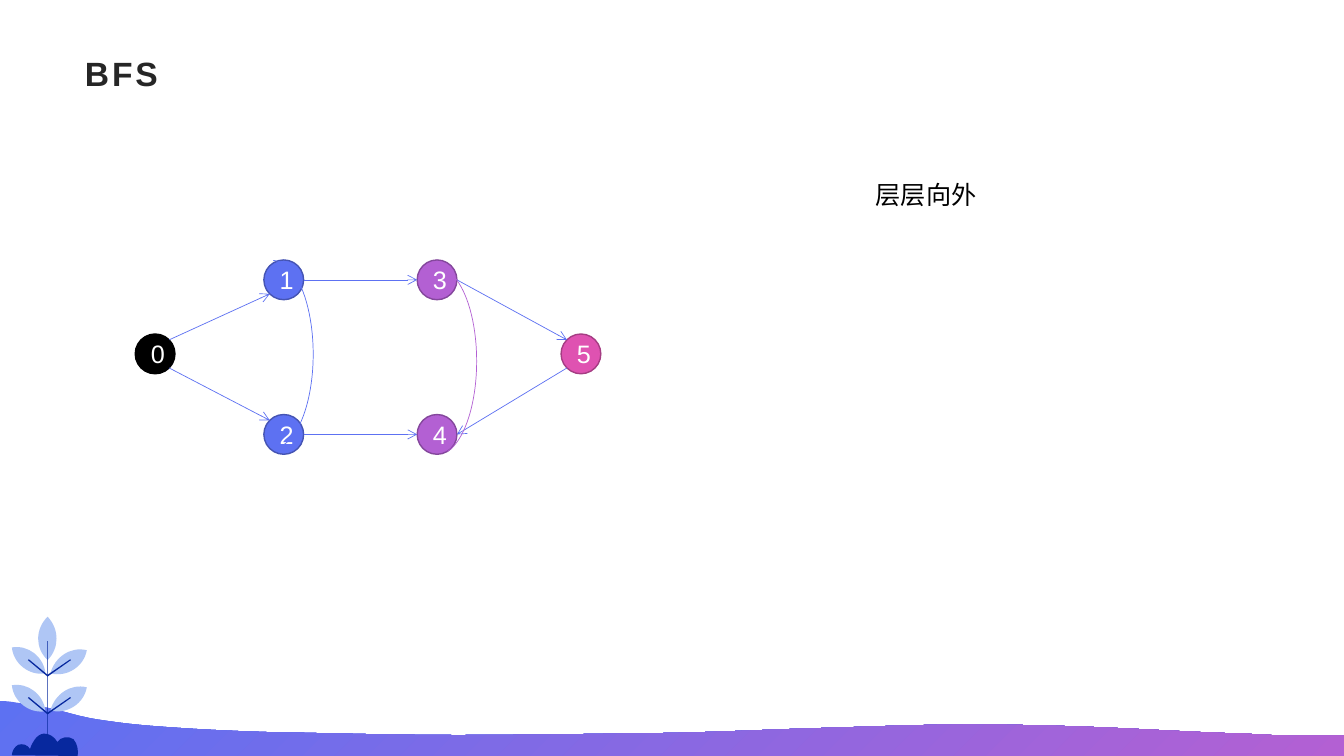
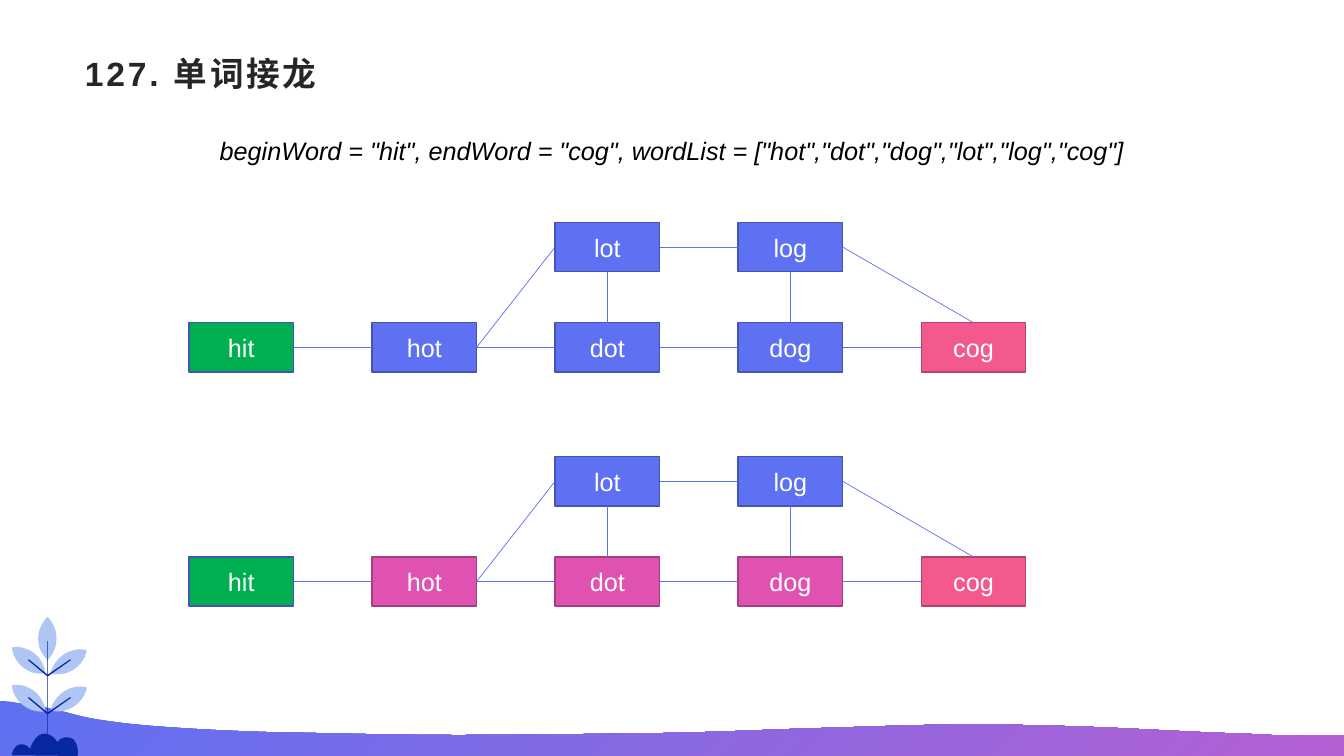
from math import sqrt

from lxml.etree import SubElement
from pptx import Presentation
from pptx.dml.color import RGBColor
from pptx.enum.shapes import MSO_CONNECTOR as Conn, MSO_SHAPE as Kind
from pptx.enum.text import MSO_ANCHOR as Anchor, MSO_AUTO_SIZE as Fit
from pptx.enum.text import PP_ALIGN as Align
from pptx.oxml.ns import qn
from pptx.util import Pt

FONT = "Arial"
HUES = {
    "blue": "5D71F2", "navy": "4554B3", "violet": "B360D3", "plum": "84479C",
    "pink": "DF52B1", "wine": "A53D83", "rose": "F3598E", "brick": "B44269",
    "green": "00B050", "black": "000000", "white": "FFFFFF", "ink": "262626",
    "leaf": "AFC6F5", "stem": "07289E",
}
# Outline colour that goes with each fill
RIMS = {"blue": "navy", "violet": "plum", "pink": "wine", "rose": "brick",
        "green": "navy", "black": "black"}

# Slide 1: graph nodes (centre x, centre y, fill), arrows and arcs
BFS_TITLE = "BFS"
BFS_NOTE = "层层向外"
SIZE = 28.4
NODES = [
    (110.8, 252.8, "black"), (202.7, 199.9, "blue"), (202.7, 310.3, "blue"),
    (312.2, 199.9, "violet"), (312.2, 310.3, "violet"), (415, 252.8, "pink"),
]
DIAG = 1 / sqrt(2)
SIDES = {"left": (-1, 0), "right": (1, 0), "nw": (-DIAG, -DIAG),
         "ne": (DIAG, -DIAG), "sw": (-DIAG, DIAG), "se": (DIAG, DIAG)}
ARROWS = [
    (0, "ne", 1, "sw"), (1, "right", 3, "left"), (0, "se", 2, "nw"),
    (3, "right", 5, "nw"), (2, "right", 4, "left"), (5, "sw", 4, "right"),
]
ARCS = [(166.7, 186, "blue"), (283.5, 191, "violet")]

# Slide 2: word boxes (column, row), links (word, side, word, side)
WORD_TITLE = "127. 单词接龙"
WORD_NOTE = ('beginWord = "hit", endWord = "cog", '
             'wordList = ["hot","dot","dog","lot","log","cog"]')
WORDS = {"hit": (0, 1), "hot": (1, 1), "lot": (2, 0), "dot": (2, 1),
         "log": (3, 0), "dog": (3, 1), "cog": (4, 1)}
TOP, LEFT, DOWN, RIGHT = range(4)
LINKS = [
    ("hit", RIGHT, "hot", LEFT), ("hot", RIGHT, "lot", LEFT),
    ("hot", RIGHT, "dot", LEFT), ("dot", RIGHT, "dog", LEFT),
    ("dog", RIGHT, "cog", LEFT), ("lot", DOWN, "dot", TOP),
    ("lot", RIGHT, "log", LEFT), ("log", RIGHT, "cog", TOP),
    ("log", DOWN, "dog", TOP),
]
ENDS = {"hit": "green", "cog": "rose"}
PATH = dict.fromkeys(("hot", "dot", "dog"), "pink")
GRIDS = [(158.9, ENDS), (326.2, ENDS | PATH)]

# Shared scenery: each curve is a start, then triples of Bezier points
WAVE = [
    (6, 501), (17, 502.5), (24.5, 504), (34, 505.5),
    (48, 508.5), (57, 512), (70.5, 514), (84, 516), (94, 517.5), (115, 519),
    (135, 520.5), (160, 522), (195, 523), (230, 523.5), (279, 525), (327, 525),
    (374, 525), (436, 524), (480, 523.5), (523, 522.5), (551.5, 521), (587, 520),
    (622, 519), (657, 517.5), (692, 517.5), (727, 517.5), (765, 518.5), (798, 520),
    (831, 521.5), (865, 523.5), (889, 524), (913, 525.5), (922, 525.5), (943, 525.5),
]
SHORE = [(960, 525.5), (960, 540), (-0.5, 540), (-0.5, 500.5)]
EAST = [(62, 491), (50.5, 488), (39, 496), (36, 507.5),
        (48, 510.5), (60, 502.5), (62, 491)]
WEST = [(32.5, 508), (31, 496), (20, 487.5), (8.5, 489.5),
        (9.5, 501), (21, 510), (32.5, 508)]
CROWN = [(34, 440.5), (25, 449.5), (25, 463), (34, 471.5),
         (42.5, 463), (42.5, 449.5), (34, 440.5)]
LEAVES = [(EAST, 0), (WEST, 0), (EAST, -26.5), (CROWN, 0), (WEST, -27)]
TWIG = [(34, 483.3), (20, 471.6), (20.6, 470.9), (34, 482),
        (50.2, 470.9), (50.6, 471.6)]
BUSH = [
    (8.5, 539.5), (8.5, 536.5), (10.5, 533.5), (13, 532),
    (16.5, 531), (19.5, 532), (21.5, 535), (22.5, 532), (23.5, 530), (25, 528),
    (26.5, 526), (29, 524), (31.5, 524), (35.5, 524), (39, 526.5), (41, 530),
    (43, 526.5), (49, 525.5), (52.5, 528), (55.5, 531.5), (56, 536), (55.5, 540),
]


def hue(name):
    return RGBColor.from_string(HUES[name])


def paint(shape, fill, rim=None):
    shape.shadow.inherit = False
    shape.fill.solid()
    shape.fill.fore_color.rgb = hue(fill)
    if rim:
        shape.line.color.rgb = hue(rim)
        shape.line.width = Pt(1)
    else:
        shape.line.fill.background()


def write(shape, text, size, color):
    para = shape.text_frame.paragraphs[0]
    para.text = text
    font = para.font
    font.name, font.size, font.color.rgb = FONT, Pt(size), hue(color)
    return para


def label(slide, text, box, size=18, color="black", wrap=True):
    shape = slide.shapes.add_textbox(*map(Pt, box))
    frame = shape.text_frame
    frame.word_wrap = wrap
    frame.auto_size = Fit.NONE if wrap else Fit.SHAPE_TO_FIT_TEXT
    return shape, write(shape, text, size, color)


def block(slide, kind, box, text, fill):
    shape = slide.shapes.add_shape(kind, *map(Pt, box))
    paint(shape, fill, RIMS[fill])
    shape.text_frame.vertical_anchor = Anchor.MIDDLE
    write(shape, text, 18, "white").alignment = Align.CENTER
    return shape


def join(slide, start=(0, 0), end=(0, 0), arrow=False):
    line = slide.shapes.add_connector(Conn.STRAIGHT, *map(Pt, (*start, *end)))
    line.line.color.rgb = hue("blue")
    line.line.width = Pt(0.5)
    props = line._element.spPr
    if arrow:
        SubElement(props.find(qn("a:ln")), qn("a:tailEnd"), type="arrow")
    SubElement(props, qn("a:effectLst"))
    return line


def trace(slide, points, fill, drop=0):
    spots = [(Pt(x), Pt(y + drop)) for x, y in points]
    pen = slide.shapes.build_freeform(*spots[0])
    pen.add_line_segments(spots[1:], close=True)
    shape = pen.convert_to_shape()
    paint(shape, fill)
    return shape


def bend(slide, curve, fill, drop=0, rest=()):
    """Outline of Bezier curves, then straight lines through the rest."""
    shape = trace(slide, [*curve, *rest], fill, drop)
    lines = list(shape._element.iter(qn("a:lnTo")))[:len(curve) - 1]
    for first, *others in zip(lines[::3], lines[1::3], lines[2::3]):
        first.tag = qn("a:cubicBezTo")
        for line in others:
            first.append(line[0])
            line.getparent().remove(line)
    return shape


def scene(slide):
    fill = bend(slide, WAVE, "blue", rest=SHORE).fill
    fill.gradient()
    fill.gradient_angle = 315
    for stop, name in zip(fill.gradient_stops, ("blue", "violet")):
        stop.color.rgb = hue(name)
    for leaf, drop in LEAVES:
        bend(slide, leaf, "leaf", drop)
    stalk = slide.shapes.add_shape(Kind.RECTANGLE, *map(Pt, (33.8, 458, 0.5, 76)))
    paint(stalk, "stem")
    for drop in (0, 27):
        trace(slide, TWIG, "stem", drop)
    bend(slide, BUSH, "stem")


def start(deck, title):
    slide = deck.slides.add_slide(deck.slide_layouts[6])
    scene(slide)
    shape, para = label(slide, title, (52.7, 35.2, 855, 34.5), 24, "ink")
    frame = shape.text_frame
    frame.margin_left, frame.margin_right = Pt(8), Pt(6)
    frame.margin_top = frame.margin_bottom = Pt(3)
    frame.vertical_anchor = Anchor.MIDDLE
    para.font.bold = True
    para.runs[0]._r.get_or_add_rPr().set("spc", "200")
    return slide


def spot(node, side):
    x, y, _ = NODES[node]
    dx, dy = SIDES[side]
    return x + dx * SIZE / 2, y + dy * SIZE / 2


def draw_bfs(deck):
    slide = start(deck, BFS_TITLE)
    for i, (x, y, fill) in enumerate(NODES):
        box = (x - SIZE / 2, y - SIZE / 2, SIZE, SIZE)
        block(slide, Kind.OVAL, box, str(i), fill)
    for a, out, b, into in ARROWS:
        join(slide, spot(a, out), spot(b, into), arrow=True)
    label(slide, BFS_NOTE, (618.5, 124.5, 124.5, 29))
    for x, y, color in ARCS:
        arc = slide.shapes.add_shape(Kind.ARC, *map(Pt, (x, y, 57, 134)))
        arc.shadow.inherit = False
        arc.adjustments[0], arc.adjustments[1] = 162, 49.89
        arc.fill.background()
        arc.line.color.rgb = hue(color)
        arc.line.width = Pt(0.5)


def draw_words(deck):
    slide = start(deck, WORD_TITLE)
    _, para = label(slide, WORD_NOTE, (149.8, 93, 660.4, 29), wrap=False)
    para.font.italic = True
    for top, fills in GRIDS:
        boxes = {}
        for word, (col, row) in WORDS.items():
            box = (135 + 130.75 * col, top + 71.6 * row, 74.7, 35.2)
            boxes[word] = block(slide, Kind.RECTANGLE, box, word,
                                fills.get(word, "blue"))
        for a, out, b, into in LINKS:
            line = join(slide)
            line.begin_connect(boxes[a], out)
            line.end_connect(boxes[b], into)


def main():
    deck = Presentation()
    deck.slide_width, deck.slide_height = Pt(960), Pt(540)
    draw_bfs(deck)
    draw_words(deck)
    deck.save("out.pptx")


if __name__ == "__main__":
    main()
